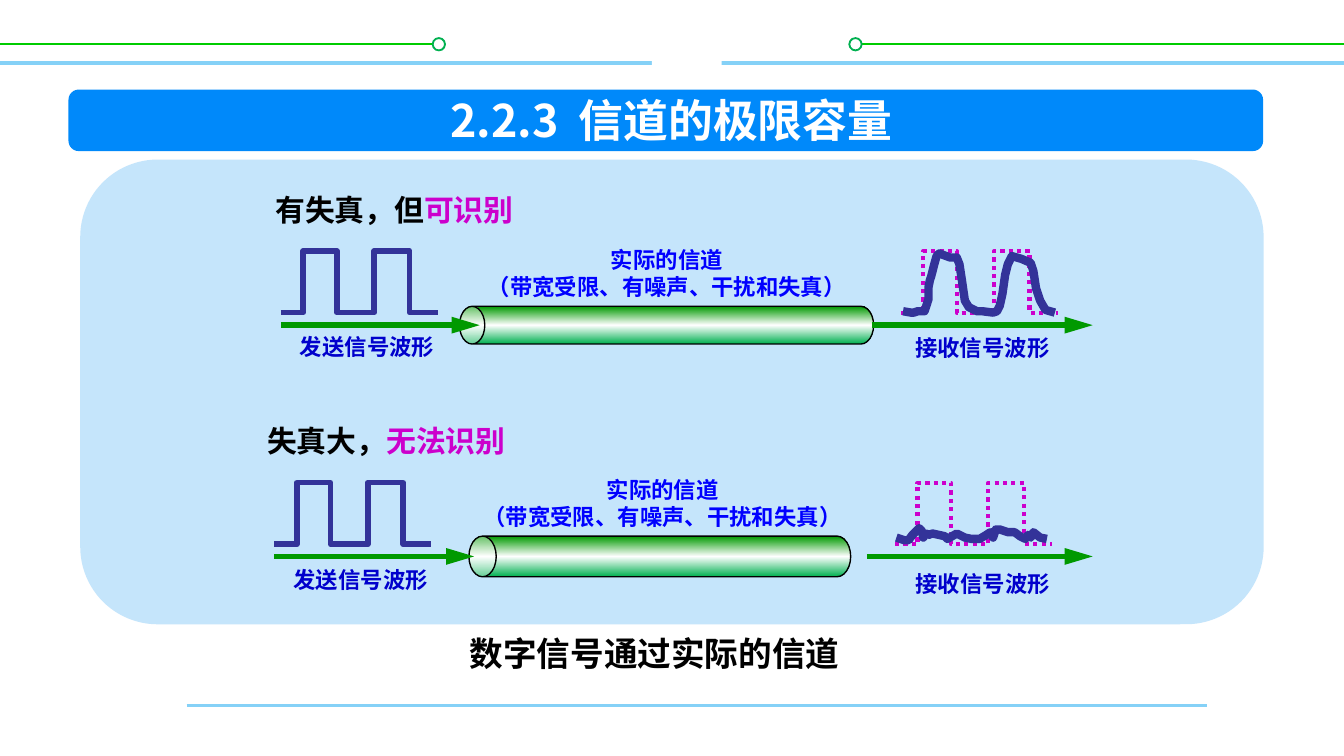
from copy import deepcopy
from lxml import etree
from pptx import Presentation
from pptx.dml.color import RGBColor
from pptx.enum.dml import MSO_LINE
from pptx.enum.shapes import MSO_CONNECTOR, MSO_SHAPE
from pptx.enum.text import MSO_ANCHOR, PP_ALIGN
from pptx.oxml.ns import qn
from pptx.util import Pt

STRAIGHT = MSO_CONNECTOR.STRAIGHT
CAN, OVAL = MSO_SHAPE.CAN, MSO_SHAPE.OVAL
RECTANGLE, ROUNDED = MSO_SHAPE.RECTANGLE, MSO_SHAPE.ROUNDED_RECTANGLE
DOTTED = MSO_LINE.ROUND_DOT
LEFT, CENTER, MIDDLE = PP_ALIGN.LEFT, PP_ALIGN.CENTER, MSO_ANCHOR.MIDDLE

THEME = {
    "font": "Noto Sans CJK SC",
    "title": 24, "caption": 18, "heading": 16, "label": 12,
    "white": "FFFFFF", "black": "000000", "banner": "0089FA", "panel": "C5E5FB",
    "rule": "85D1F7", "trim": "00CC00", "ring": "00B050", "arrow": "009900",
    "signal": "333399", "accent": "CC00CC", "channel": "0000FF", "wave": "0000CC",
}

TITLE = "2.2.3  信道的极限容量"
CAPTION = "数字信号通过实际的信道"
CHANNEL_LINES = ["实际的信道", "（带宽受限、有噪声、干扰和失真）"]
SENT, RECEIVED = "发送信号波形", "接收信号波形"

PULSE_EDGES = [0, 11.5, 30.5, 50, 69, 84]
PULSE_HEIGHT = 33.4
TRACE_UNIT = 0.72

CASES = [
    {
        "heading": [("有失真，但", "black"), ("可识别", "accent")],
        "heading_at": (140.4, 97.9, 150, 28.8),
        "base": 167.5, "sent_x": 150.5, "received_x": 482.6,
        "arrows": [(150.5, 257), (467.3, 585.4)], "arrow_y": 174.2,
        "can": (357.1, 221.8, 20.2, 0.67),
        "channel_at": (249.3, 128.2, 216, 36),
        "sent_at": (146.7, 175, 100, 21.6), "received_at": (473.8, 175.7, 105, 21.6),
        "trace_x": 483.8,
        "trace": [
            (0, -1), (6, 0), (8, 0), (11, -1), (16, -1), (19, -10), (19, -19), (20, -24),
            (21, -27), (23, -35), (25, -42), (27, -44), (35, -41), (40, -41), (42, -36),
            (44, -23), (46, -9), (49, -4), (55, -1), (59, -1), (67, 0), (70, -1),
            (72, -5), (74, -14), (76, -28), (78, -36), (81, -42), (88, -40), (95, -37),
            (97, -31), (99, -18), (102, -9), (106, -2), (113, 0),
        ],
    },
    {
        "heading": [("失真大，", "black"), ("无法识别", "accent")],
        "heading_at": (136.1, 222.5, 150, 26.6),
        "base": 291.6, "sent_x": 147, "received_x": 479.5,
        "arrows": [(147, 254), (464.4, 585.4)], "arrow_y": 298.1,
        "can": (353.5, 204.5, 21.8, 0.67),
        "channel_at": (247, 251.3, 216, 36.7),
        "sent_at": (143.3, 299.5, 100, 21.6), "received_at": (474, 301.7, 105, 21.6),
        "trace_x": 480.2,
        "trace": [
            (0, -5), (6, -3), (9, -3), (12, -7), (17, -12), (19, -10), (20, -5), (22, -8),
            (24, -7), (27, -8), (36, -6), (38, -4), (45, -8), (51, -5), (56, -4), (62, -4),
            (67, -7), (70, -9), (72, -5), (74, -11), (77, -11), (83, -9), (88, -9),
            (92, -6), (96, -4), (98, -7), (100, -5), (102, -9), (107, -5), (112, -4),
        ],
    },
]

TRIM_LINES = [(0, 233.3), (455, 720)]
RING_LEFTS = [231.8, 455]
RULES = [(100, 646.5, 378, 1.5), (0, 720, 33.8, 2)]


def color(name):
    return RGBColor.from_string(THEME[name])


def style_line(shape, name, weight):
    shape.line.color.rgb = color(name)
    shape.line.width = Pt(weight)


def add_block(kind, at, fill, border=None, weight=1):
    shape = slide.shapes.add_shape(kind, *map(Pt, at))
    shape.shadow.inherit = False
    shape.fill.solid()
    shape.fill.fore_color.rgb = color(fill)
    if border:
        style_line(shape, border, weight)
    else:
        shape.line.fill.background()
    return shape


def add_line(left, right, y, name, weight, arrow=False):
    line = slide.shapes.add_connector(STRAIGHT, Pt(left), Pt(y), Pt(right), Pt(y))
    style_line(line, name, weight)
    if arrow:
        etree.SubElement(line.line._get_or_add_ln(), qn("a:tailEnd"),
                         type="triangle", w="med", len="lg")
    etree.SubElement(line._element.spPr, qn("a:effectLst"))


def add_text(at, paragraphs, size, align=CENTER, spacing=None):
    box = slide.shapes.add_textbox(*map(Pt, at))
    frame = box.text_frame
    frame.word_wrap = True
    frame.vertical_anchor = MIDDLE
    for index, spans in enumerate(paragraphs):
        paragraph = frame.add_paragraph() if index else frame.paragraphs[0]
        paragraph.alignment = align
        if spacing:
            paragraph.line_spacing = Pt(spacing)
        for text, name in spans:
            span = paragraph.add_run()
            span.text = text
            span.font.size = Pt(THEME[size])
            span.font.bold = True
            span.font.color.rgb = color(name)
            span.font.name = THEME["font"]
            etree.SubElement(span._r.get_or_add_rPr(), qn("a:ea"), typeface=THEME["font"])


def add_outline(points, x, y, unit, name, weight, dash=None):
    builder = slide.shapes.build_freeform(*points[0], scale=Pt(unit))
    builder.add_line_segments(points[1:], close=False)
    outline = builder.convert_to_shape(Pt(x), Pt(y))
    outline.shadow.inherit = False
    outline.fill.background()
    style_line(outline, name, weight)
    if dash:
        outline.line.dash_style = dash


def pulse_points():
    points = [(0, 0)]
    for index, edge in enumerate(PULSE_EDGES[1:-1]):
        levels = (0, -PULSE_HEIGHT) if index % 2 == 0 else (-PULSE_HEIGHT, 0)
        points += [(edge, level) for level in levels]
    return points + [(PULSE_EDGES[-1], 0)]


def add_channel(center_x, center_y, length, thickness, cap):
    at = (center_x - thickness / 2, center_y - length / 2, thickness, length)
    can = add_block(CAN, at, "white", "black", 0.75)
    can.adjustments[0] = cap
    can.rotation = 270
    can.fill.gradient()
    can.fill.gradient_angle = 0
    stop_list = can._element.spPr.find(qn("a:gradFill")).find(qn("a:gsLst"))
    stop_list.append(deepcopy(stop_list[0]))
    for stop, position, name in zip(can.fill.gradient_stops, (0, 0.5, 1),
                                    ("ring", "white", "arrow")):
        stop.position = position
        stop.color.rgb = color(name)


def add_case(case):
    base, y = case["base"], case["arrow_y"]
    center_x, length, thickness, cap = case["can"]
    add_channel(center_x, y, length, thickness, cap)
    pulses = pulse_points()
    add_outline(pulses, case["sent_x"], base, 1, "signal", 3)
    add_outline(pulses, case["received_x"], base, 1, "accent", 2.25, DOTTED)
    for left, right in case["arrows"]:
        add_line(left, right, y, "arrow", 3, arrow=True)
    add_outline(case["trace"], case["trace_x"], base, TRACE_UNIT, "signal", 4.5)
    add_text(case["channel_at"], [[(text, "channel")] for text in CHANNEL_LINES],
             "label", spacing=14.4)
    add_text(case["sent_at"], [[(SENT, "wave")]], "label")
    add_text(case["received_at"], [[(RECEIVED, "wave")]], "label")
    add_text(case["heading_at"], [case["heading"]], "heading", LEFT)


deck = Presentation()
deck.slide_width, deck.slide_height = Pt(720), Pt(405)
slide = deck.slides.add_slide(deck.slide_layouts[6])

for (left, right), ring_left in zip(TRIM_LINES, RING_LEFTS):
    add_line(left, right, 23.7, "trim", 1)
    add_block(OVAL, (ring_left, 20.4, 6.6, 6.6), "white", "ring")
for rule in RULES:
    add_line(*rule[:3], "rule", rule[3])
add_block(RECTANGLE, (349.2, 10, 37.4, 36.7), "white")
add_block(ROUNDED, (36.7, 48, 640, 33), "banner")
add_text((98.6, 49.5, 522, 28.8), [[(TITLE, "white")]], "title")
add_block(ROUNDED, (43, 85.5, 634, 249), "panel")
for case in CASES:
    add_case(case)
add_text((217.4, 335.5, 266.4, 28.8), [[(CAPTION, "black")]], "caption")

deck.save("out.pptx")
